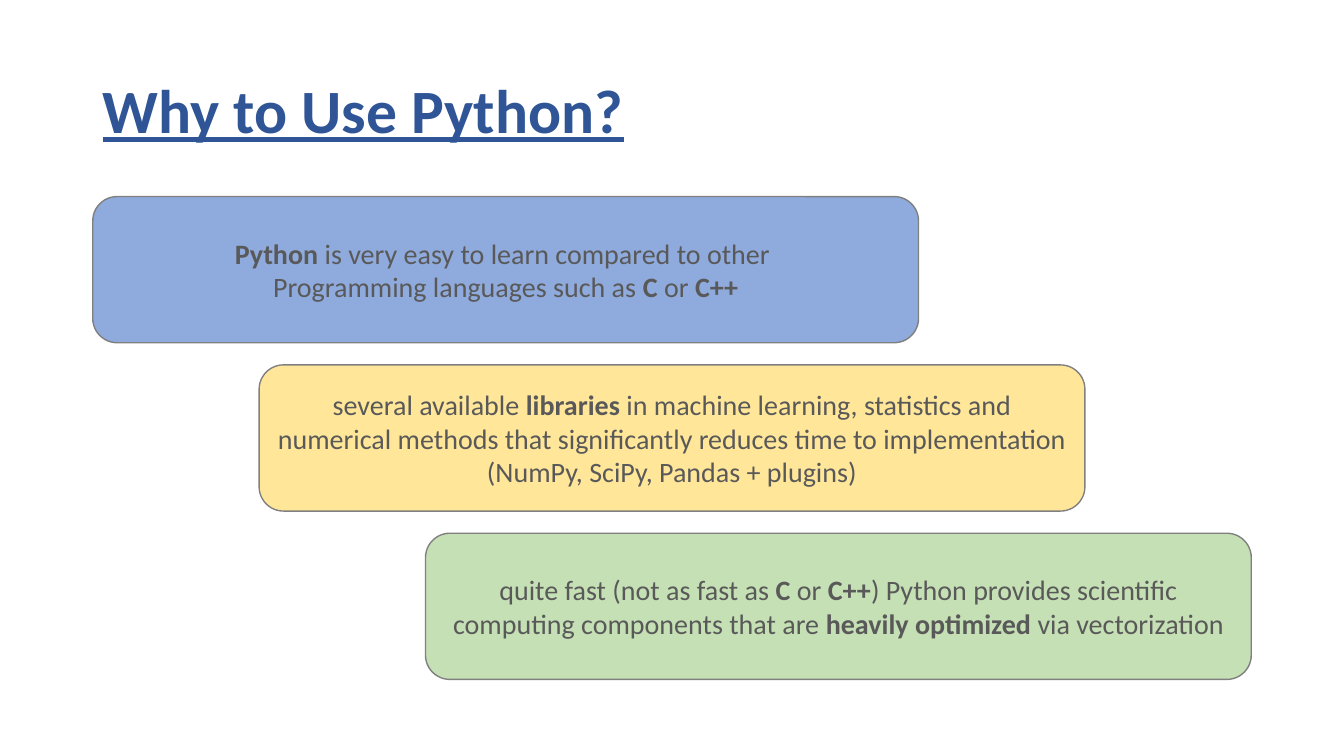
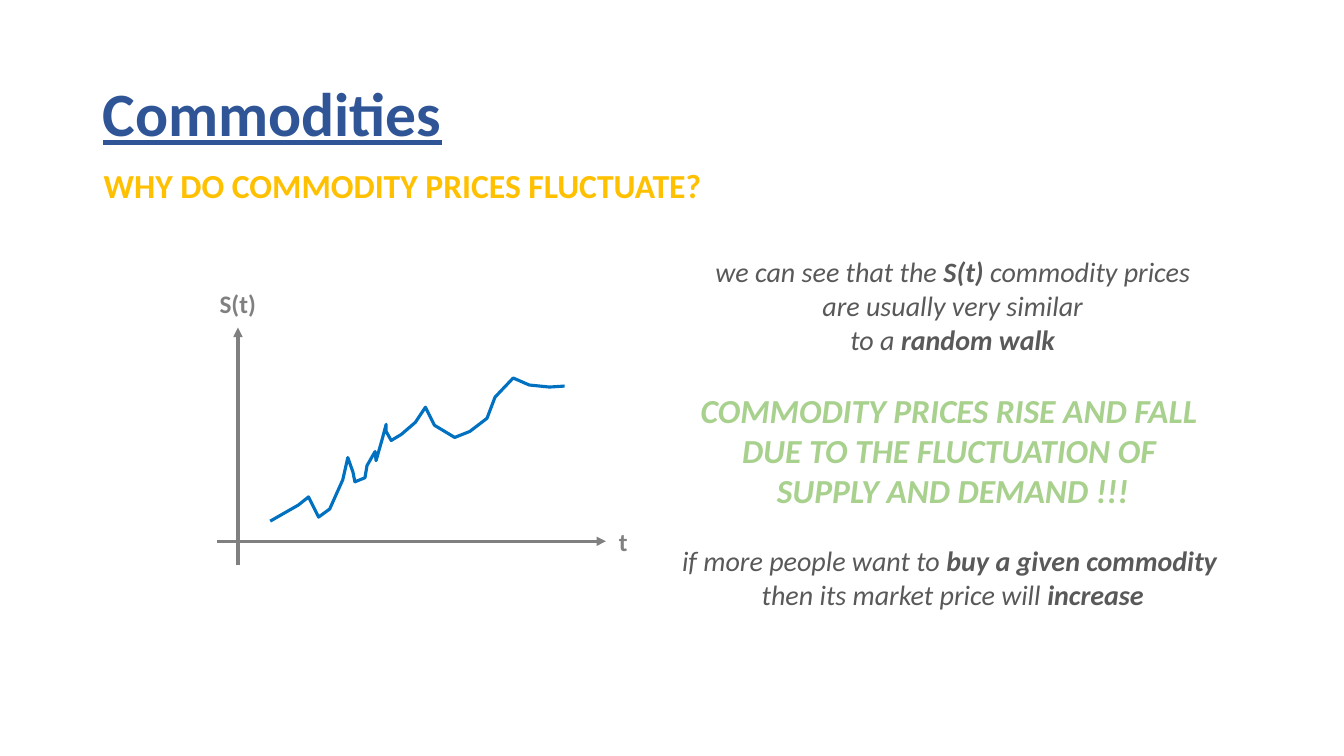
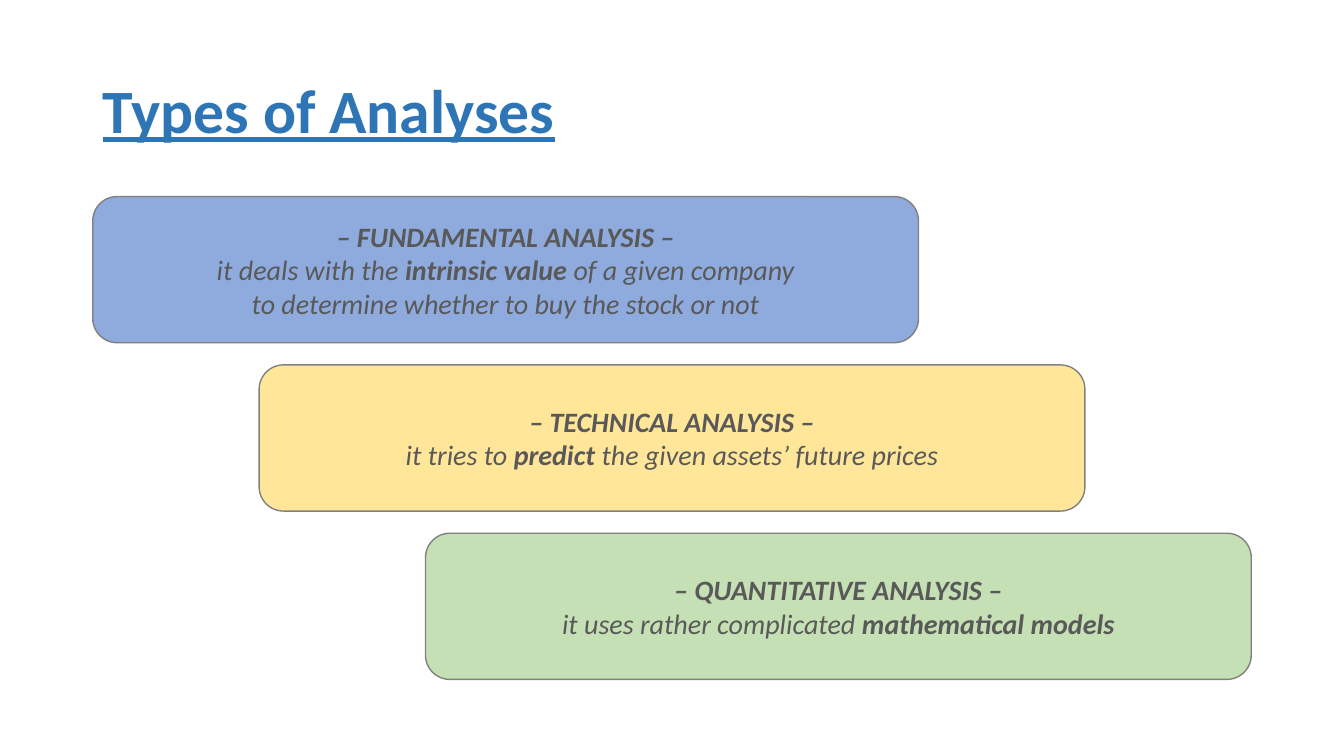
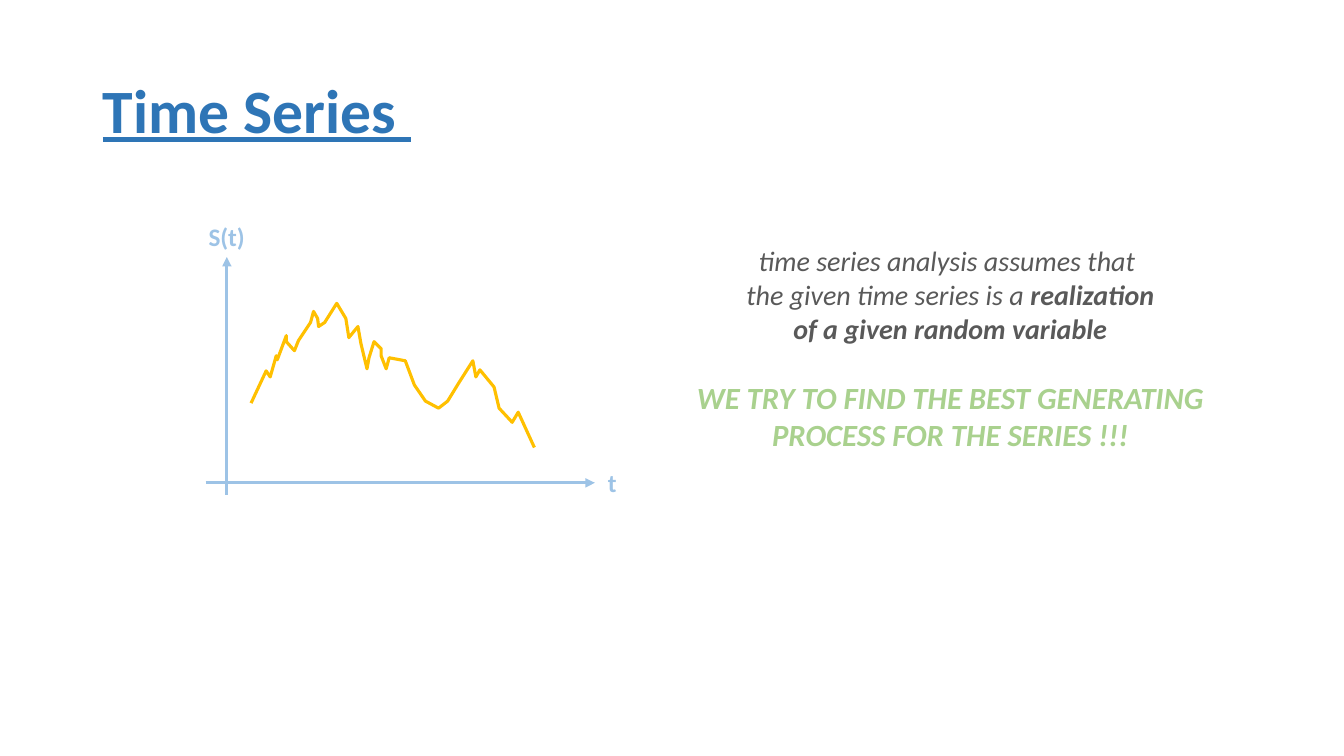
from lxml import etree
from pptx import Presentation
from pptx import util as u
from pptx.dml.color import RGBColor
from pptx.enum import shapes, text
from pptx.oxml import ns

NAVY, BLUE, SKY, LINE_BLUE = "2F5597", "2E75B6", "9DC3E6", "0070C0"
GOLD, GREEN, DARK, GRAY = "FFC000", "A9D18E", "595959", "808080"
CARD_FILLS = ("8FAADC", "FFE699", "C5E0B4")
FONT = "Calibri"
BLANK_LINE = 24

PRICE_WALK = [
    (2.68, 5.17), (2.96, 5.01), (3.06, 4.93), (3.16, 5.13), (3.27, 5.05),
    (3.4, 4.76), (3.45, 4.54), (3.5, 4.68), (3.52, 4.78), (3.62, 4.74),
    (3.64, 4.62), (3.72, 4.48), (3.73, 4.57), (3.79, 4.36), (3.83, 4.21),
    (3.83, 4.28), (3.88, 4.37), (3.98, 4.31), (4.12, 4.19), (4.22, 4.04),
    (4.31, 4.22), (4.51, 4.34), (4.66, 4.28), (4.83, 4.15), (4.91, 3.94),
    (5.09, 3.75), (5.25, 3.82), (5.45, 3.84), (5.6, 3.83),
]
SERIES_WALK = [
    (2.49, 4), (2.64, 3.68), (2.68, 3.74), (2.74, 3.53), (2.75, 3.57),
    (2.84, 3.33), (2.84, 3.39), (2.92, 3.48), (2.96, 3.38), (3.08, 3.2),
    (3.11, 3.09), (3.15, 3.16), (3.16, 3.24), (3.22, 3.2), (3.34, 3.01),
    (3.43, 3.16), (3.46, 3.35), (3.55, 3.24), (3.58, 3.41), (3.64, 3.66),
    (3.66, 3.55), (3.71, 3.39), (3.78, 3.46), (3.78, 3.53), (3.83, 3.66),
    (3.86, 3.55), (4.02, 3.58), (4.11, 3.82), (4.22, 3.98), (4.35, 4.05),
    (4.44, 3.98), (4.55, 3.8), (4.69, 3.58), (4.72, 3.74), (4.76, 3.67),
    (4.9, 3.84), (4.95, 4.05), (5.08, 4.19), (5.14, 4.09), (5.3, 4.44),
]


def rgb(code):
    return RGBColor.from_string(code)


def inches(*values):
    return [u.Inches(value) for value in values]


def write(para, content, size=20, color=DARK, italic=False, underline=False,
          align=text.PP_ALIGN.LEFT, before=0):
    para.alignment = align
    para.space_before = u.Pt(before)
    for index, part in enumerate(content.split("*")):
        if part:
            span = para.add_run()
            span.text = part
            font = span.font
            font.name, font.size = FONT, u.Pt(size)
            font.bold, font.italic, font.underline = index % 2 == 1, italic, underline
            font.color.rgb = rgb(color)


def write_lines(frame, lines, **style):
    for index, line in enumerate(lines):
        content, changes = (line, {}) if isinstance(line, str) else line
        para = frame.add_paragraph() if index else frame.paragraphs[0]
        write(para, content, **{**style, **changes})


class Deck:
    def __init__(self):
        self.deck = Presentation()
        self.deck.slide_width, self.deck.slide_height = inches(13.33, 7.5)
        self.page = None

    def add_page(self, title, color, top=0.4):
        self.page = self.deck.slides.add_slide(self.deck.slide_layouts[5])
        box = self.page.shapes.title
        box.left, box.top, box.width, box.height = inches(0.92, top, 11.5, 1.45)
        frame = box.text_frame
        frame.auto_size = text.MSO_AUTO_SIZE.NONE
        frame.vertical_anchor = text.MSO_ANCHOR.MIDDLE
        frame.paragraphs[0].line_spacing = 0.9
        write(frame.paragraphs[0], f"*{title}*", size=44, color=color, underline=True)

    def text_box(self, place, lines, **style):
        frame = self.page.shapes.add_textbox(*inches(*place)).text_frame
        frame.word_wrap = False
        write_lines(frame, lines, **style)

    def cards(self, contents, italic=False):
        for index, (fill, lines) in enumerate(zip(CARD_FILLS, contents)):
            place = inches(0.92 + 1.65 * index, 1.95 + 1.67 * index, 8.19, 1.45)
            card = self.page.shapes.add_shape(
                shapes.MSO_SHAPE.ROUNDED_RECTANGLE, *place)
            card.shadow.inherit = False
            card.fill.solid()
            card.fill.fore_color.rgb = rgb(fill)
            card.line.color.rgb = rgb(GRAY)
            card.line.width = u.Pt(1)
            card.text_frame.word_wrap = True
            card.text_frame.vertical_anchor = text.MSO_ANCHOR.MIDDLE
            write_lines(card.text_frame, lines, italic=italic,
                        align=text.PP_ALIGN.CENTER)

    def arrow(self, start, end, color):
        line = self.page.shapes.add_connector(
            shapes.MSO_CONNECTOR.STRAIGHT, *inches(*start, *end))
        line.line.color.rgb = rgb(color)
        line.line.width = u.Pt(2.25)
        etree.SubElement(line.line._get_or_add_ln(), ns.qn("a:tailEnd"), type="triangle")
        etree.SubElement(line._element.spPr, ns.qn("a:effectLst"))

    def curve(self, points, color):
        start, *rest = [inches(*point) for point in points]
        builder = self.page.shapes.build_freeform(*start)
        builder.add_line_segments(rest, close=False)
        curve = builder.convert_to_shape()
        curve.shadow.inherit = False
        curve.fill.background()
        curve.line.color.rgb = rgb(color)
        curve.line.width = u.Pt(2.25)

    def plot(self, x, y, bottom, top, label_top, points, axis_color, curve_color):
        self.arrow((x, bottom), (x, top), axis_color)
        self.arrow((x - 0.21, y), (x + 3.65, y), axis_color)
        label = {"size": 18, "color": axis_color}
        self.text_box((x - 0.28, label_top, 0.57, 0.4), ["*S(t)*"], **label)
        self.text_box((x + 3.68, y - 0.2, 0.29, 0.4), ["*t*"], **label)
        self.curve(points, curve_color)

    def remarks(self, place, lines):
        self.text_box(place, lines, italic=True, align=text.PP_ALIGN.CENTER)


def main():
    show = Deck()

    show.add_page("Why to Use Python?", NAVY)
    show.cards([
        ["*Python* is very easy to learn compared to other ",
         "Programming languages such as *C* or *C++*"],
        ["several available *libraries* in machine learning, statistics and "
         "numerical methods that significantly reduces time to implementation",
         "(NumPy, SciPy, Pandas + plugins)"],
        ["quite fast (not as fast as* C* or *C++*) Python provides scientific "
         "computing components that are *heavily optimized *via vectorization"],
    ])

    show.add_page("Commodities", NAVY, top=0.43)
    show.text_box((0.93, 1.59, 6.2, 0.5), ["*WHY DO COMMODITY PRICES FLUCTUATE?*"],
                  size=24, color=GOLD)
    show.plot(2.36, 5.37, 5.61, 3.25, 2.81, PRICE_WALK, GRAY, LINE_BLUE)
    shout = {"size": 24, "color": GREEN}
    show.remarks((6.65, 2.48, 5.6, 5.02), [
        "we can see that the *S(t)* commodity prices",
        "are usually very similar",
        "to a *random walk*",
        ("*COMMODITY PRICES RISE AND FALL *", {**shout, "before": BLANK_LINE}),
        ("*DUE TO THE FLUCTUATION OF *", shout),
        ("*SUPPLY AND DEMAND !!!*", shout),
        ("if more people want to *buy a given commodity *", {"before": BLANK_LINE}),
        "then its market price will *increase*",
    ])

    show.add_page("Types of Analyses", BLUE)
    show.cards([
        ["*– FUNDAMENTAL ANALYSIS –*",
         "it deals with the *intrinsic value *of a given company",
         "to determine whether to buy the stock or not"],
        ["*– TECHNICAL ANALYSIS –*",
         "it tries to *predict* the given assets’ future prices"],
        ["*– QUANTITATIVE ANALYSIS –*",
         "it uses rather complicated *mathematical models*"],
    ], italic=True)

    show.add_page("Time Series ", BLUE)
    show.plot(2.25, 4.79, 4.91, 2.55, 2.15, SERIES_WALK, SKY, GOLD)
    shout = {"size": 22, "color": GREEN}
    show.remarks((6.78, 2.37, 5.29, 2.19), [
        "time series analysis assumes that ",
        "the given time series is a *realization*",
        "*of a given random variable*",
        ("*WE TRY TO FIND THE BEST GENERATING*", {**shout, "before": BLANK_LINE}),
        ("*PROCESS FOR THE SERIES !!!*", shout),
    ])

    show.deck.save("out.pptx")


if __name__ == "__main__":
    main()
